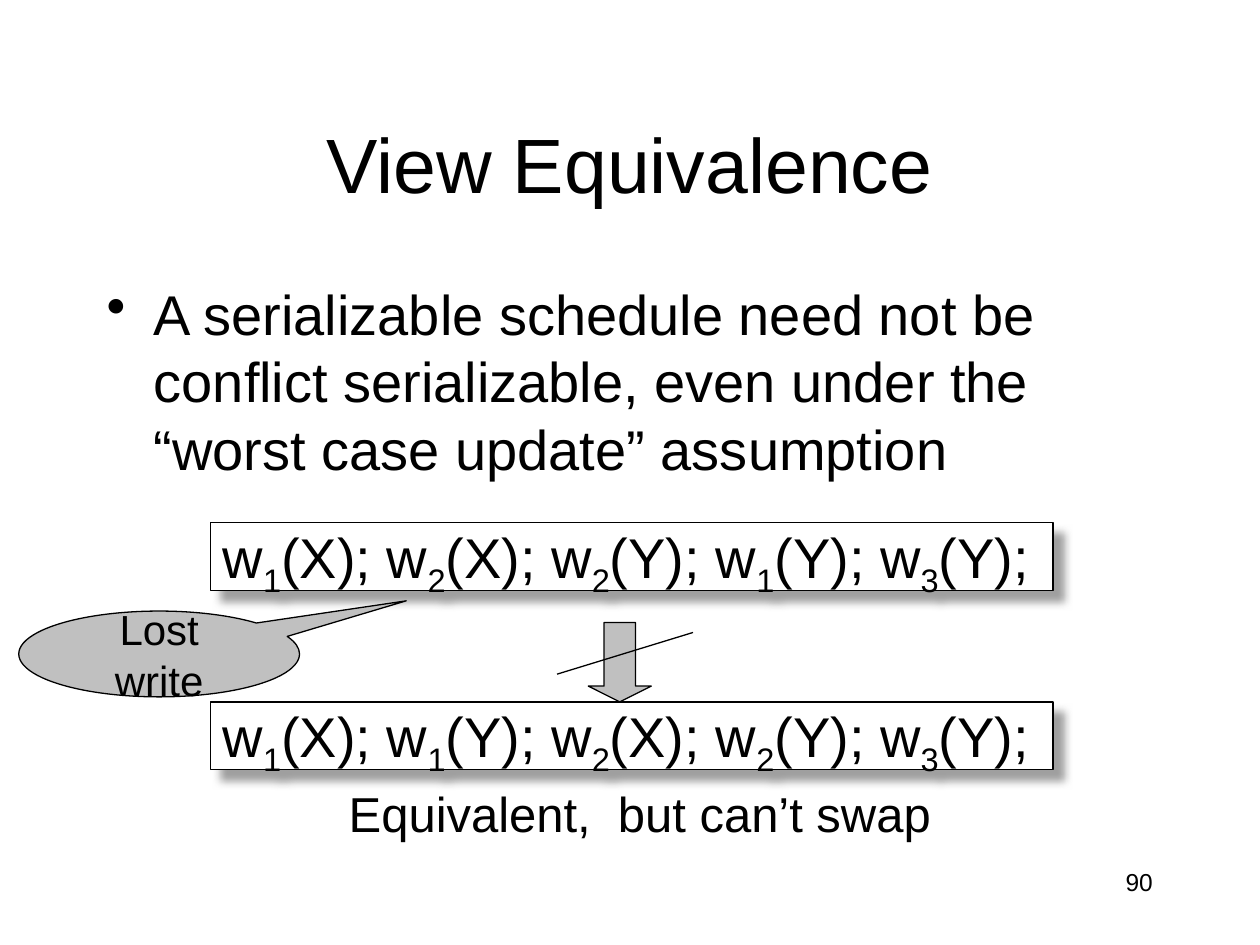
from dataclasses import dataclass

import lxml.etree
import pptx
import pptx.dml.color
import pptx.enum.shapes
import pptx.enum.text
import pptx.oxml.ns
import pptx.util

Cm = pptx.util.Cm
Pt = pptx.util.Pt
Shape = pptx.enum.shapes.MSO_SHAPE
Align = pptx.enum.text.PP_ALIGN
Anchor = pptx.enum.text.MSO_ANCHOR
qn = pptx.oxml.ns.qn


@dataclass(frozen=True)
class Theme:
    font: str = "Arial"
    ink: str = "000000"
    paper: str = "FFFFFF"
    grey: str = "C0C0C0"
    shadow: str = "808080"
    line: float = 0.75
    title: int = 44
    body: int = 32
    caption: int = 28
    callout: int = 24
    number: int = 14


THEME = Theme()


def rgb(value):
    return pptx.dml.color.RGBColor.from_string(value)


def add_child(parent, tag, **attributes):
    child = lxml.etree.SubElement(parent, qn(tag))
    for name, value in attributes.items():
        child.set(name, str(value))
    return child


def write(box, spans, size, align=Align.LEFT, anchor=Anchor.TOP, spacing=None, bullet=False):
    """Fill a box with one paragraph of (text, is_subscript) spans."""
    frame = box.text_frame
    margins = {"margin_left": Cm(0.25), "margin_right": Cm(0.25),
               "margin_top": Cm(0.13), "margin_bottom": Cm(0.13)}
    for name, value in {"word_wrap": True, "vertical_anchor": anchor, **margins}.items():
        setattr(frame, name, value)
    para = frame.paragraphs[0]
    if bullet:
        properties = para._p.get_or_add_pPr()
        properties.set("marL", str(Cm(0.95)))
        properties.set("indent", str(-Cm(0.95)))
        add_child(properties, "a:buChar", char="•")
    para.alignment = align
    if spacing:
        para.line_spacing = spacing
    for text, is_subscript in spans:
        span = para.add_run()
        span.text = text
        for name, value in {"name": THEME.font, "size": Pt(size)}.items():
            setattr(span.font, name, value)
        span.font.color.rgb = rgb(THEME.ink)
        if is_subscript:
            span._r.get_or_add_rPr().set("baseline", "-25000")


def add_text(page, place, text, size, **layout):
    box = page.shapes.add_textbox(*map(Cm, place))
    write(box, [(text, False)], size, **layout)


def add_outlined(page, kind, place, fill, adjustments=()):
    shape = page.shapes.add_shape(kind, *map(Cm, place))
    shape.shadow.inherit = False
    shape.fill.solid()
    shape.fill.fore_color.rgb = rgb(fill)
    shape.line.color.rgb = rgb(THEME.ink)
    shape.line.width = Pt(THEME.line)
    for index, value in enumerate(adjustments):
        shape.adjustments[index] = value
    return shape


def add_drop_shadow(shape):
    effects = shape._element.spPr.find(qn("a:effectLst"))
    shadow = add_child(effects, "a:outerShdw", blurRad=Pt(5), dist=Pt(8.5),
                       dir=45 * 60000, algn="ctr", rotWithShape=0)
    color = add_child(shadow, "a:srgbClr", val=THEME.shadow)
    add_child(color, "a:alpha", val=75000)


def add_schedule(page, top, writes):
    """Draw a shadowed box listing writes such as "1X" for w₁(X)."""
    box = add_outlined(page, Shape.RECTANGLE, (4.24, top, 16.99, 1.37), THEME.paper)
    add_drop_shadow(box)
    spans = [("w", False)]
    for position, (transaction, item) in enumerate(writes, 1):
        tail = f"({item});" if position == len(writes) else f"({item}); w"
        spans += [(transaction, True), (tail, False)]
    write(box, spans, THEME.body, spacing=0.8)


def add_strike(page, start, end):
    line = page.shapes.add_connector(
        pptx.enum.shapes.MSO_CONNECTOR.STRAIGHT, *map(Cm, start + end))
    line.line.color.rgb = rgb(THEME.ink)
    line.line.width = Pt(THEME.line)
    add_child(line._element.spPr, "a:effectLst")


def main():
    deck = pptx.Presentation()
    deck.slide_width, deck.slide_height = Cm(25.4), Cm(19.05)
    page = deck.slides.add_slide(deck.slide_layouts[6])

    add_text(page, (1.9, 1.7, 21.59, 3.18), "View Equivalence", THEME.title,
             align=Align.CENTER, anchor=Anchor.MIDDLE)
    add_text(page, (1.9, 5.51, 21.59, 11.43),
             "A serializable schedule need not be conflict serializable, "
             "even under the “worst case update” assumption",
             THEME.body, bullet=True)

    add_schedule(page, 14.15, ["1X", "1Y", "2X", "2Y", "3Y"])
    add_schedule(page, 10.54, ["1X", "2X", "2Y", "1Y", "3Y"])
    add_outlined(page, Shape.DOWN_ARROW, (11.86, 12.55, 1.27, 1.6), THEME.grey, (0.5, 0.25))
    add_strike(page, (11.23, 13.59), (13.97, 12.75))

    callout = add_outlined(page, Shape.OVAL_CALLOUT, (0.38, 12.32, 5.66, 1.73),
                           THEME.grey, (0.88, -0.62))
    write(callout, [("Lost write", False)], THEME.callout,
          align=Align.CENTER, anchor=Anchor.MIDDLE)

    add_text(page, (6.78, 15.67, 12.27, 1.45), "Equivalent,  but can’t swap", THEME.caption)
    add_text(page, (18.21, 17.35, 5.28, 1.27), "90", THEME.number, align=Align.RIGHT)
    deck.save("out.pptx")


if __name__ == "__main__":
    main()
